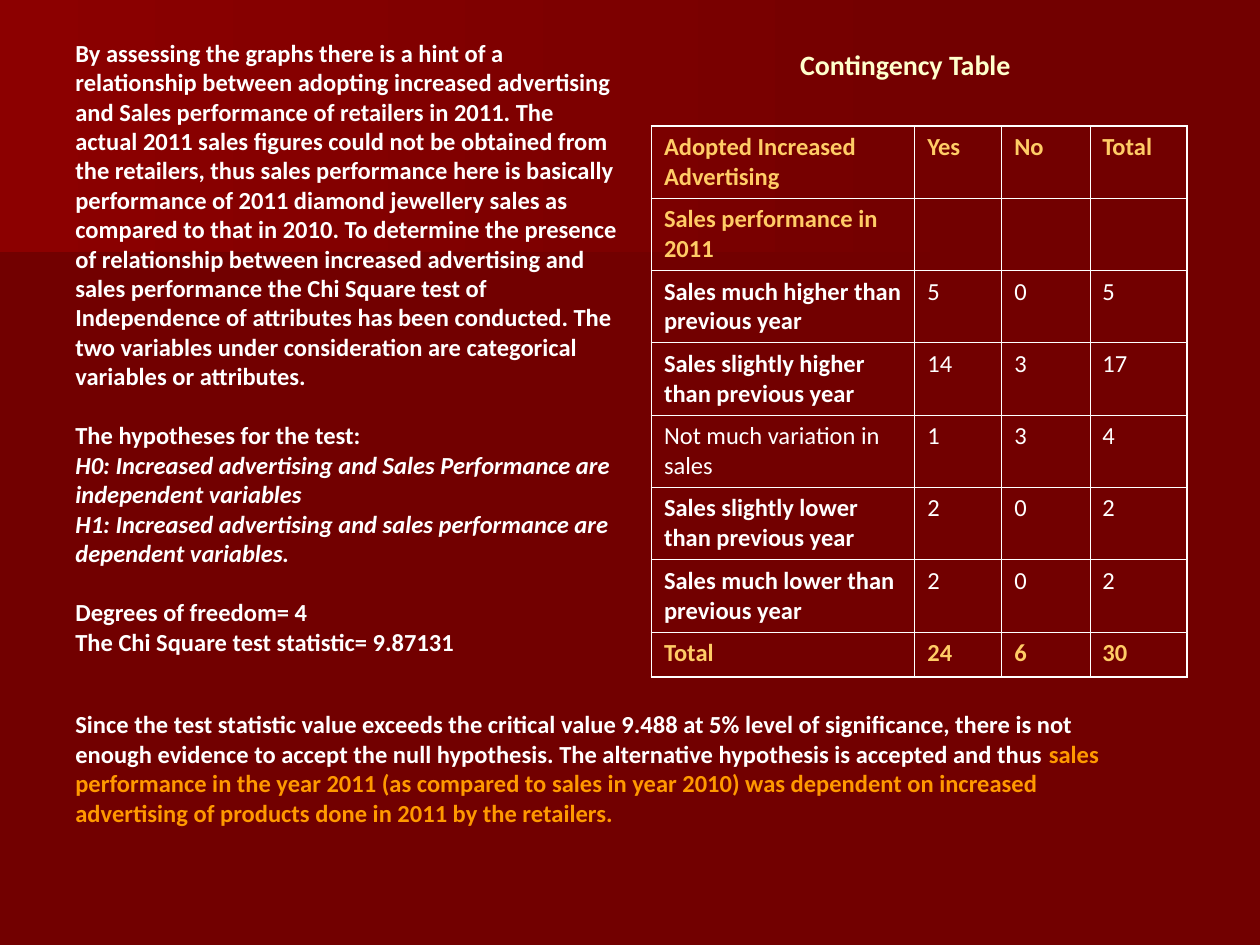
from dataclasses import dataclass

from lxml import etree
from pptx import Presentation
from pptx.dml.color import RGBColor
from pptx.enum.text import MSO_ANCHOR, MSO_AUTO_SIZE, PP_ALIGN
from pptx.oxml.ns import qn
from pptx.util import Inches, Pt

TOP = MSO_ANCHOR.TOP
NO_FIT = MSO_AUTO_SIZE.NONE
LEFT = PP_ALIGN.LEFT

DARK_RED = "720000"
WHITE = "FFFFFF"
GOLD = "FFCC66"
ORANGE = "FF9900"
CREAM = "FFFFCC"
THIN, THICK = 0.45, 1.08


@dataclass
class Run:
    text: str
    color: str = WHITE
    bold: bool = True
    italic: bool = False
    size: float = 14


@dataclass
class Line:
    runs: list[Run]
    space_before: float = 0


@dataclass
class Band:
    points: list[tuple[float, float]]
    end_color: str


@dataclass
class TableRow:
    values: list[str]
    height: float = 0.57
    label_color: str = WHITE
    label_bold: bool = True
    value_color: str = WHITE
    value_bold: bool = False


BANDS = [
    Band([(7.78, 1.53), (0, 2.17), (0, 1.01), (7.79, 1.01), (7.78, 1.28)], "6A0000"),
    Band([(7.92, 1.62), (0, 2.08), (0, 0), (7.92, 0)], "8C0000"),
]

METHOD = [
    Line([Run(
        "By assessing the graphs there is a hint of a relationship between adopting "
        "increased advertising and Sales performance of retailers in 2011. The actual "
        "2011 sales figures could not be obtained from the retailers, thus sales "
        "performance here is basically performance of 2011 diamond jewellery sales as "
        "compared to that in 2010. To determine the presence of relationship between "
        "increased advertising and sales performance the Chi Square test of Independence "
        "of attributes has been conducted. The two variables under consideration are "
        "categorical variables or attributes."
    )]),
    Line([Run("The hypotheses for the test:")], 17),
    Line([Run("H0: Increased advertising and Sales Performance are independent variables", italic=True)]),
    Line([Run("H1: Increased advertising and sales performance are dependent variables.", italic=True)]),
    Line([Run("Degrees of freedom= 4")], 17),
    Line([Run("The Chi Square test statistic= 9.87131")]),
]

CONCLUSION = [
    Line([
        Run(
            "Since the test statistic value exceeds the critical value 9.488 at 5% level of "
            "significance, there is not enough evidence to accept the null hypothesis. The "
            "alternative hypothesis is accepted and thus "
        ),
        Run(
            "sales performance in the year 2011 (as compared to sales in year 2010) was "
            "dependent on increased advertising of products done in 2011 by the retailers.",
            ORANGE,
        ),
    ]),
]

COLUMN_WIDTHS = [2.09, 0.69, 0.7, 0.77]
ROWS = [
    TableRow(["Adopted Increased Advertising", "Yes", "No", "Total"],
             label_color=GOLD, value_color=GOLD, value_bold=True),
    TableRow(["Sales performance in 2011", "", "", ""], label_color=GOLD),
    TableRow(["Sales much higher than previous year", "5", "0", "5"]),
    TableRow(["Sales slightly higher than previous year", "14", "3", "17"]),
    TableRow(["Not much variation in sales", "1", "3", "4"], label_bold=False),
    TableRow(["Sales slightly lower than previous year", "2", "0", "2"]),
    TableRow(["Sales much lower than previous year", "2", "0", "2"]),
    TableRow(["Total", "24", "6", "30"], height=0.36,
             label_color=GOLD, value_color=GOLD, value_bold=True),
]


def rgb(color: str) -> RGBColor:
    return RGBColor.from_string(color)


def write_lines(text_frame, lines: list[Line]) -> None:
    frame_format = {"word_wrap": True, "auto_size": NO_FIT, "vertical_anchor": TOP}
    for name, value in frame_format.items():
        setattr(text_frame, name, value)
    for index, line in enumerate(lines):
        paragraph = text_frame.add_paragraph() if index else text_frame.paragraphs[0]
        paragraph.alignment = LEFT
        paragraph.space_before = Pt(line.space_before)
        for part in line.runs:
            write_run(paragraph, part)


def write_run(paragraph, part: Run) -> None:
    run = paragraph.add_run()
    run.text = part.text
    font_format = {"name": "Calibri", "size": Pt(part.size), "bold": part.bold, "italic": part.italic}
    for name, value in font_format.items():
        setattr(run.font, name, value)
    run.font.color.rgb = rgb(part.color)


def draw_band(slide, band: Band) -> None:
    builder = slide.shapes.build_freeform(*band.points[0], scale=Inches(1))
    builder.add_line_segments(band.points[1:], close=True)
    shape = builder.convert_to_shape()
    shape.shadow.inherit = False
    shape.line.fill.background()
    shape.fill.gradient()
    shape.fill.gradient_angle = 180
    for stop, color in zip(shape.fill.gradient_stops, (DARK_RED, band.end_color)):
        stop.color.rgb = rgb(color)


def draw_text(slide, left: float, top: float, width: float, height: float, lines: list[Line]) -> None:
    box = slide.shapes.add_textbox(Inches(left), Inches(top), Inches(width), Inches(height))
    write_lines(box.text_frame, lines)


def set_borders(cell, widths: dict[str, float]) -> None:
    properties = cell._tc.get_or_add_tcPr()
    for side, width in widths.items():
        border = etree.SubElement(properties, qn(f"a:ln{side}"), w=str(int(Pt(width))))
        fill = etree.SubElement(border, qn("a:solidFill"))
        etree.SubElement(fill, qn("a:srgbClr"), val=WHITE)


def draw_table(slide, left: float, top: float) -> None:
    height = sum(row.height for row in ROWS)
    frame = slide.shapes.add_table(
        len(ROWS), len(COLUMN_WIDTHS), Inches(left), Inches(top),
        Inches(sum(COLUMN_WIDTHS)), Inches(height),
    )
    table = frame.table
    table.first_row = table.horz_banding = False
    for column, width in zip(table.columns, COLUMN_WIDTHS):
        column.width = Inches(width)
    last_row, last_column = len(ROWS) - 1, len(COLUMN_WIDTHS) - 1
    for row_index, row in enumerate(ROWS):
        table.rows[row_index].height = Inches(row.height)
        for column_index, text in enumerate(row.values):
            cell = table.cell(row_index, column_index)
            outer = {"L": column_index == 0, "R": column_index == last_column,
                     "T": row_index == 0, "B": row_index == last_row}
            set_borders(cell, {side: THICK if edge else THIN for side, edge in outer.items()})
            cell.fill.background()
            if text:
                is_label = column_index == 0
                color = row.label_color if is_label else row.value_color
                bold = row.label_bold if is_label else row.value_bold
                write_run(cell.text_frame.paragraphs[0], Run(text, color, bold))


def place_title(slide) -> None:
    title = slide.shapes.title
    position = {"left": 6.25, "top": 0.33, "width": 2.08, "height": 0.37}
    for name, value in position.items():
        setattr(title, name, Inches(value))
    write_lines(title.text_frame, [Line([Run("Contingency Table", CREAM, size=16)])])
    slide.shapes._spTree.append(title._element)


def main() -> None:
    presentation = Presentation()
    presentation.slide_width = Inches(10)
    presentation.slide_height = Inches(7.5)
    slide = presentation.slides.add_slide(presentation.slide_layouts[5])
    slide.background.fill.solid()
    slide.background.fill.fore_color.rgb = rgb(DARK_RED)
    for band in BANDS:
        draw_band(slide, band)
    draw_table(slide, 5.17, 1)
    draw_text(slide, 0.5, 0.25, 4.5, 5.01, METHOD)
    draw_text(slide, 0.5, 5.58, 8.33, 1.39, CONCLUSION)
    place_title(slide)
    presentation.save("out.pptx")


if __name__ == "__main__":
    main()
